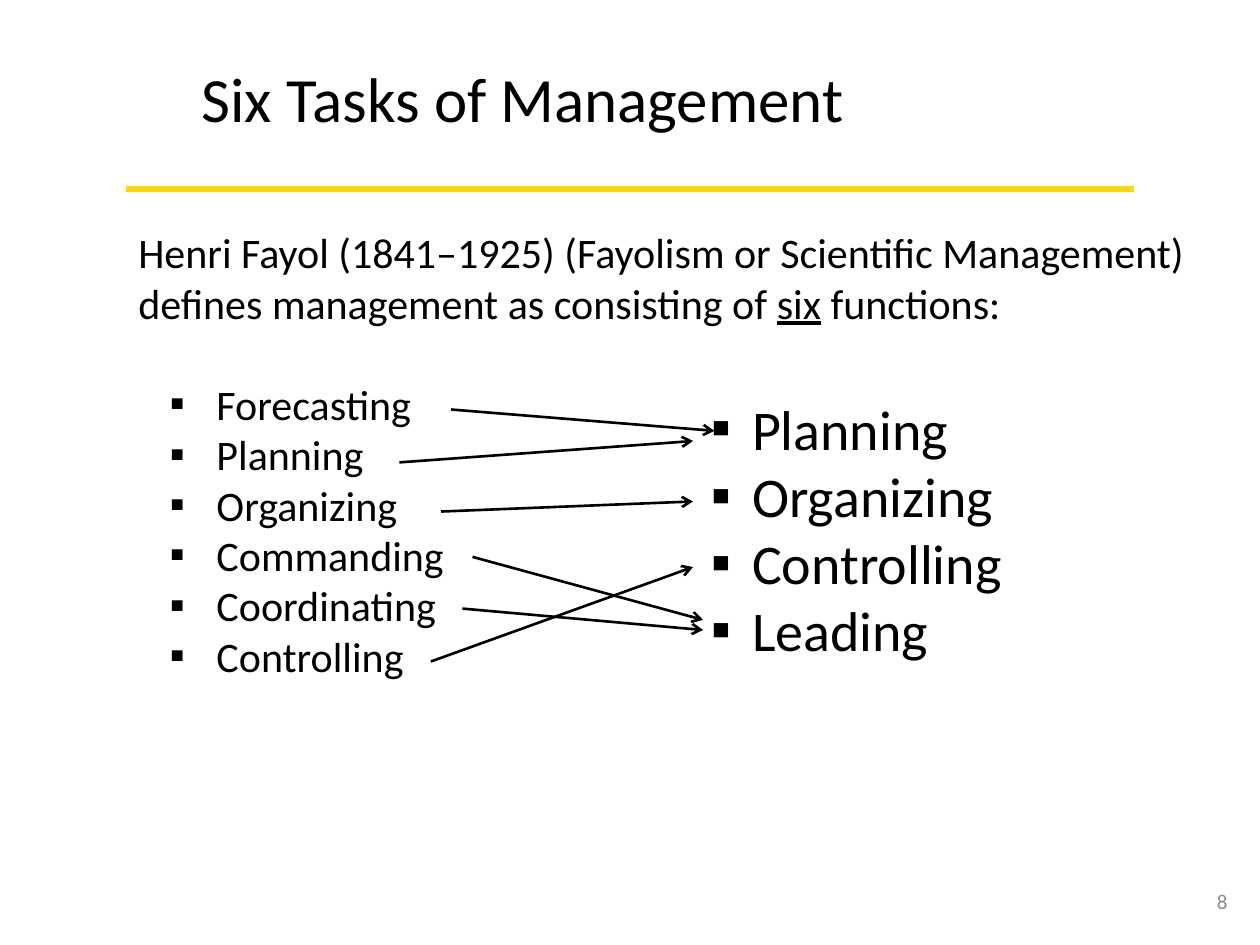
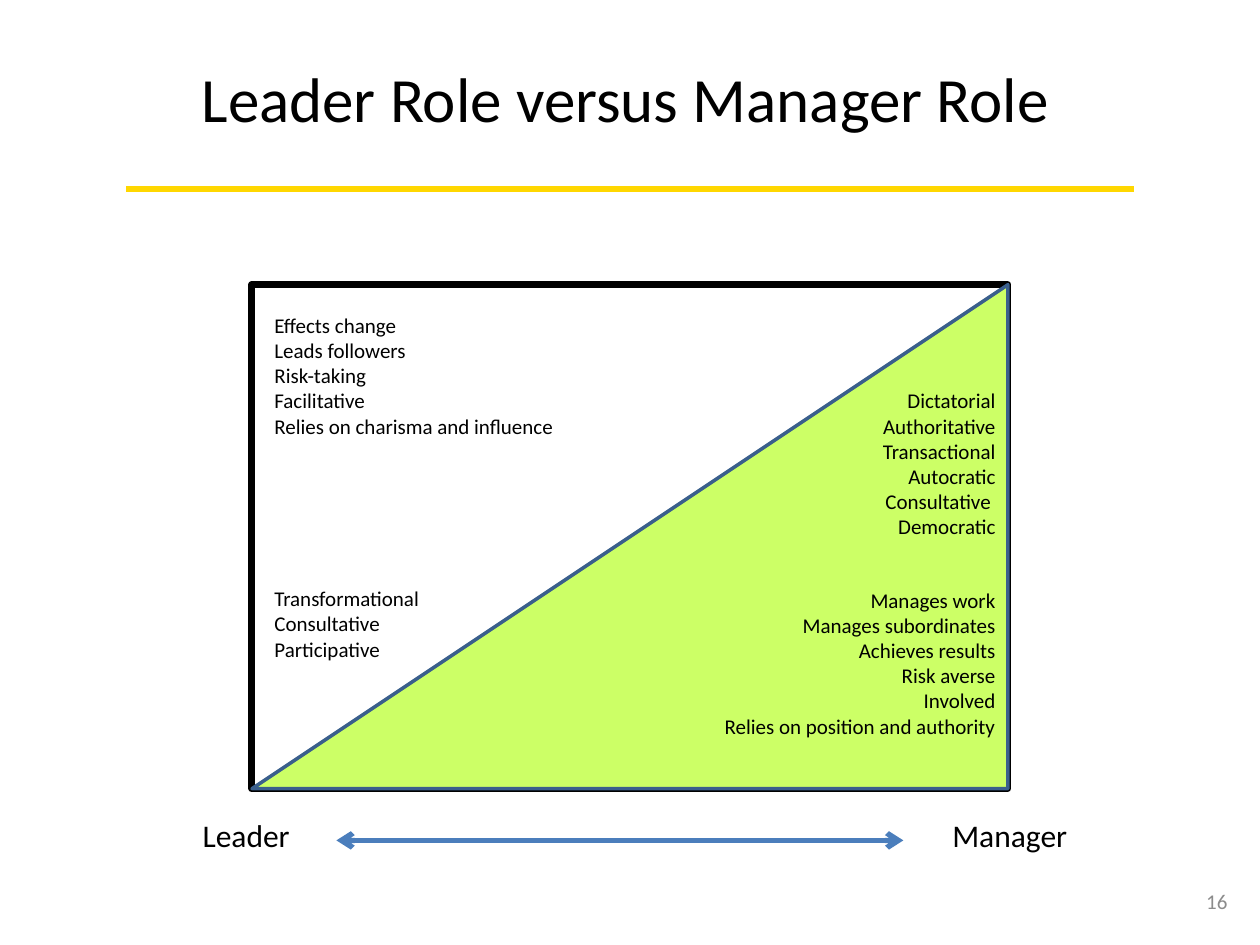
"""Build two management slides: Fayol's tasks and leader versus manager roles."""
from lxml import etree
from pptx import Presentation
from pptx.dml.color import RGBColor
from pptx.enum.shapes import MSO_CONNECTOR, MSO_SHAPE
from pptx.enum.text import MSO_ANCHOR, PP_ALIGN
from pptx.oxml.ns import qn
from pptx.util import Inches, Pt

BLACK = RGBColor(0x00, 0x00, 0x00)
GREY = RGBColor(0x8C, 0x8C, 0x8C)
GOLD = RGBColor(0xFF, 0xD7, 0x00)
LIME = RGBColor(0xCC, 0xFF, 0x66)
NAVY = RGBColor(0x3A, 0x5F, 0x8C)
BLUE = RGBColor(0x4B, 0x7E, 0xBC)
FONT = "Calibri"
LEFT, RIGHT = PP_ALIGN.LEFT, PP_ALIGN.RIGHT
TOP, MIDDLE = MSO_ANCHOR.TOP, MSO_ANCHOR.MIDDLE
STRAIGHT = MSO_CONNECTOR.STRAIGHT
RECTANGLE, TRIANGLE = MSO_SHAPE.RECTANGLE, MSO_SHAPE.ISOSCELES_TRIANGLE
TITLE_ONLY = 5


def write(tf, lines, size, color=BLACK, align=LEFT, anchor=TOP, wrap=False):
    """Fill a text frame; in a tuple of runs every second run is underlined."""
    tf.word_wrap = wrap
    tf.vertical_anchor = anchor
    for i, line in enumerate(lines):
        p = tf.paragraphs[0] if i == 0 else tf.add_paragraph()
        p.alignment = align
        for j, text in enumerate((line,) if isinstance(line, str) else line):
            r = p.add_run()
            r.text = text
            r.font.size = Pt(size)
            r.font.name = FONT
            r.font.color.rgb = color
            if j % 2:
                r.font.underline = True


def bullet(p, margin, hang):
    """Give a paragraph a square bullet with a hanging indent."""
    pPr = p._p.get_or_add_pPr()
    pPr.set("marL", str(Inches(margin)))
    pPr.set("indent", str(-Inches(hang)))
    etree.SubElement(pPr, qn("a:buFont")).set("typeface", FONT)
    etree.SubElement(pPr, qn("a:buChar")).set("char", "▪")


class Deck:
    """Hold the presentation, its style and the current slide."""

    def __init__(self):
        self.prs = Presentation()
        self.prs.slide_width = Inches(10)
        self.prs.slide_height = Inches(7.5)

    def slide(self, title, width, number):
        """Start a slide with its title, rule and number."""
        self.s = self.prs.slides.add_slide(self.prs.slide_layouts[TITLE_ONLY])
        self.shapes = self.s.shapes
        self.line((1, 1.5), (9, 1.5), GOLD, 4)
        sp = self.s.shapes.title
        sp.left, sp.top = Inches(1.5), Inches(0.42)
        sp.width, sp.height = Inches(width), Inches(0.71)
        write(sp.text_frame, [title], 36)
        self.text((9.42, 6.95, 0.42, 0.4), [number], 12,
                  color=GREY, align=RIGHT, anchor=MIDDLE, wrap=True)

    def group(self):
        """Put the following elements into a new group."""
        self.shapes = self.s.shapes.add_group_shape().shapes

    def text(self, at, lines, size, **style):
        """Add a text box and return its text frame."""
        tf = self.shapes.add_textbox(*map(Inches, at)).text_frame
        write(tf, lines, size, **style)
        return tf

    def shape(self, kind, at, line, width, fill=None):
        """Add a preset shape with an outline and an optional fill."""
        sp = self.shapes.add_shape(kind, *map(Inches, at))
        sp.shadow.inherit = False
        sp.line.color.rgb = line
        sp.line.width = Pt(width)
        if fill is None:
            sp.fill.background()
        else:
            sp.fill.solid()
            sp.fill.fore_color.rgb = fill
        return sp

    def line(self, start, end, color, width, heads=()):
        """Add a straight line with arrowheads at the named ends."""
        sp = self.shapes.add_connector(STRAIGHT, *map(Inches, start + end))
        sp.line.color.rgb = color
        sp.line.width = Pt(width)
        ln = sp.line._get_or_add_ln()
        for head in heads:
            etree.SubElement(ln, qn(f"a:{head}")).set("type", "arrow")
        etree.SubElement(sp._element.spPr, qn("a:effectLst"))


def tasks_slide(deck):
    """Map Fayol's six functions to the four current ones."""
    deck.slide("Six Tasks of Management", 5.35, "8")
    intro = ("Henri Fayol (1841–1925) (Fayolism or Scientific Management) "
             "defines management as consisting of ", "six", " functions:")
    tasks = ["Forecasting", "Planning", "Organizing",
             "Commanding", "Coordinating", "Controlling"]
    tf = deck.text((1, 1.75, 8.5, 3.74), [intro] + tasks, 24, wrap=True)
    for p in tf.paragraphs[1:]:
        p.level = 1
        bullet(p, 0.62, 0.37)
    tf.paragraphs[1].space_before = Pt(29)

    deck.group()
    functions = ["Planning", "Organizing", "Controlling", "Leading"]
    tf = deck.text((5.55, 3.08, 2.62, 2.26), functions, 32)
    for p in tf.paragraphs:
        bullet(p, 0.32, 0.32)
    arrows = [((3.58, 3.25), (5.67, 3.42)), ((3.17, 3.67), (5.5, 3.5)),
              ((3.5, 4.06), (5.5, 3.98)), ((3.42, 5.25), (5.5, 4.5)),
              ((3.75, 4.42), (5.58, 4.92)), ((3.67, 4.83), (5.58, 5))]
    for start, end in arrows:
        deck.line(start, end, BLACK, 1.5, ["tailEnd"])


def roles_slide(deck):
    """Contrast leader and manager on a divided rectangle."""
    deck.slide("Leader Role versus Manager Role", 6.99, "16")
    box = (2, 2.26, 6, 4)
    deck.shape(RECTANGLE, box, BLACK, 4)
    sp = deck.shape(TRIANGLE, box, NAVY, 2, LIME)
    sp.adjustments[0] = 1
    write(sp.text_frame,
          ["Manages work", "Manages subordinates", "Achieves results",
           "Risk averse", "Involved", "Relies on position and authority"],
          12, align=RIGHT, anchor=MIDDLE, wrap=True)
    deck.text((1.51, 6.43, 0.9, 0.4), ["Leader"], 18)
    deck.text((7.46, 6.43, 1.12, 0.4), ["Manager"], 18)
    deck.text((2.08, 2.43, 2.44, 1.11),
              ["Effects change", "Leads followers", "Risk-taking",
               "Facilitative", "Relies on charisma and influence"], 12)
    deck.text((2.08, 4.6, 1.36, 0.71),
              ["Transformational", "Consultative", "Participative"], 12)
    deck.text((6.85, 3.03, 1.15, 1.31),
              ["Dictatorial", "Authoritative", "Transactional",
               "Autocratic", "Consultative ", "Democratic"], 12, align=RIGHT)
    deck.line((2.67, 6.67), (7.17, 6.67), BLUE, 3, ["headEnd", "tailEnd"])


deck = Deck()
tasks_slide(deck)
roles_slide(deck)
deck.prs.save("out.pptx")
